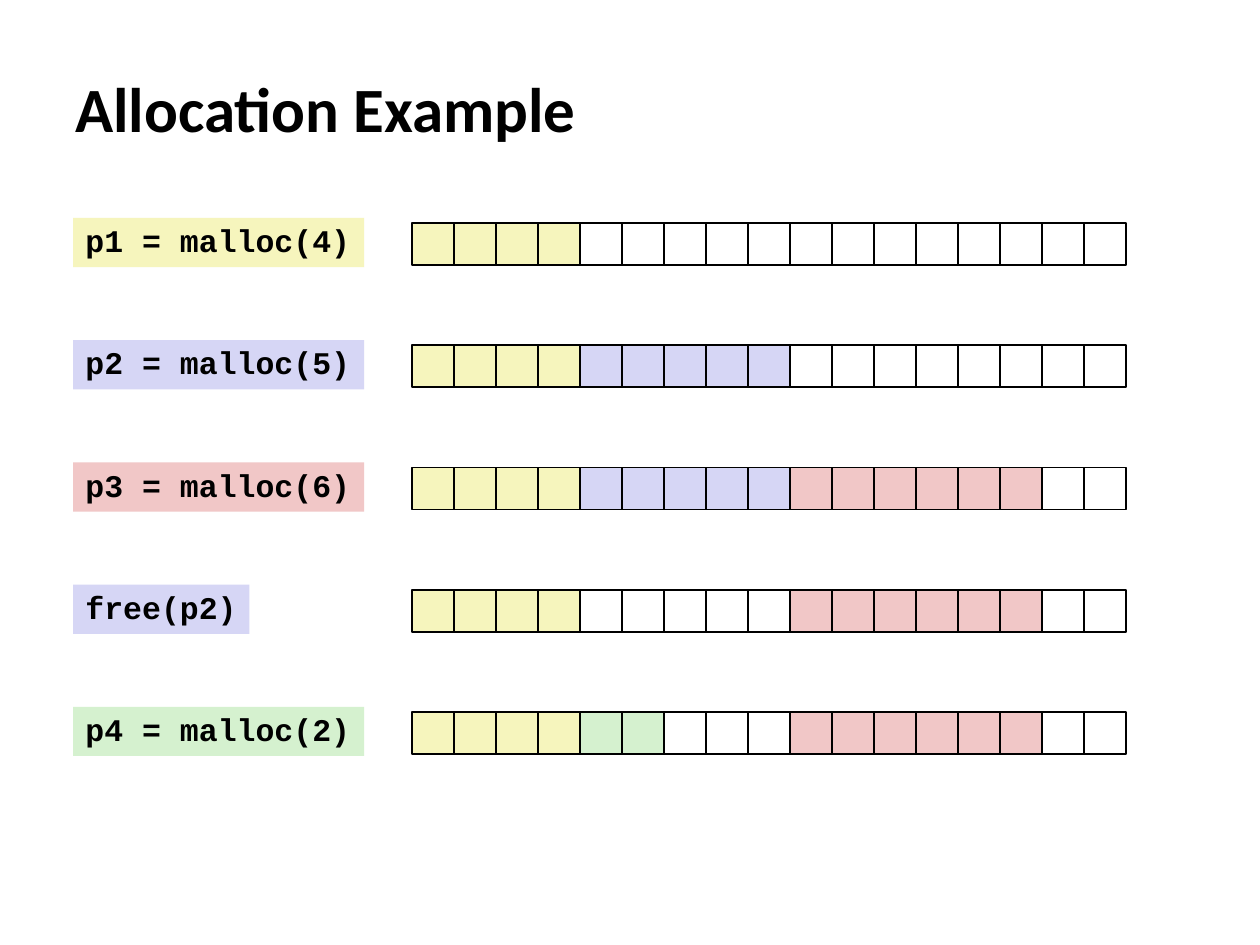
from dataclasses import dataclass

from pptx import Presentation
from pptx.dml.color import RGBColor
from pptx.enum.shapes import MSO_SHAPE
from pptx.enum.text import MSO_ANCHOR, MSO_AUTO_SIZE, PP_ALIGN
from pptx.util import Inches, Pt

RECTANGLE = MSO_SHAPE.RECTANGLE
MIDDLE = MSO_ANCHOR.MIDDLE
TOP = MSO_ANCHOR.TOP
LEFT = PP_ALIGN.LEFT
GROW = MSO_AUTO_SIZE.SHAPE_TO_FIT_TEXT


@dataclass(frozen=True)
class Theme:
    ink: str = "000000"
    free: str = "FFFFFF"
    yellow: str = "F6F5BD"
    blue: str = "D6D6F5"
    red: str = "F1C7C7"
    green: str = "D5F1CF"
    title_font: str = "Calibri"
    code_font: str = "Courier New"
    title_size: int = 36
    code_size: int = 18
    line_width: int = 1


THEME = Theme()
CELL_SIZE = 1 / 3
HEAP_LEFT = 3.27
LABEL_LEFT = 0.58
LABEL_HEIGHT = 0.39
FIRST_ROW_TOP = 1.73
ROW_STEP = 0.97
HEAP_OFFSET = 0.04

P1 = (4, THEME.yellow)
P2 = (5, THEME.blue)
P3 = (6, THEME.red)
P4 = (2, THEME.green)

STEPS = [
    ("p1 = malloc(4)", 2.31, THEME.yellow, [P1, (13, THEME.free)]),
    ("p2 = malloc(5)", 2.31, THEME.blue, [P1, P2, (8, THEME.free)]),
    ("p3 = malloc(6)", 2.31, THEME.red, [P1, P2, P3, (2, THEME.free)]),
    ("free(p2)", 1.4, THEME.blue, [P1, (5, THEME.free), P3, (2, THEME.free)]),
    ("p4 = malloc(2)", 2.31, THEME.green,
     [P1, P4, (3, THEME.free), P3, (2, THEME.free)]),
]


def write_text(box, text, font_name, size):
    box.text_frame.text = text
    paragraph = box.text_frame.paragraphs[0]
    paragraph.alignment = LEFT
    font = paragraph.runs[0].font
    font.name = font_name
    font.size = Pt(size)
    font.bold = True
    font.color.rgb = RGBColor.from_string(THEME.ink)
    return paragraph


def add_rectangle(shapes, left, top, width, height, color):
    box = shapes.add_shape(
        RECTANGLE, Inches(left), Inches(top), Inches(width), Inches(height))
    box.shadow.inherit = False
    box.fill.solid()
    box.fill.fore_color.rgb = RGBColor.from_string(color)
    return box


def add_title(page, text):
    box = page.shapes.add_textbox(
        Inches(0.5), Inches(0.54), Inches(7.07), Inches(0.63))
    box.text_frame.word_wrap = True
    box.text_frame.vertical_anchor = MIDDLE
    write_text(box, text, THEME.title_font, THEME.title_size)


def add_label(page, text, top, width, color):
    box = add_rectangle(
        page.shapes, LABEL_LEFT, top, width, LABEL_HEIGHT, color)
    box.line.fill.background()
    frame = box.text_frame
    frame.word_wrap = False
    frame.auto_size = GROW
    frame.vertical_anchor = TOP
    paragraph = write_text(box, text, THEME.code_font, THEME.code_size)
    paragraph.line_spacing = 0.94


def add_heap(page, top, blocks):
    heap = page.shapes.add_group_shape()
    colors = [color for count, color in blocks for _ in range(count)]
    for index, color in enumerate(colors):
        left = HEAP_LEFT + index * CELL_SIZE
        cell = add_rectangle(
            heap.shapes, left, top, CELL_SIZE, CELL_SIZE, color)
        cell.line.color.rgb = RGBColor.from_string(THEME.ink)
        cell.line.width = Pt(THEME.line_width)


def main():
    deck = Presentation()
    deck.slide_width = Inches(10)
    deck.slide_height = Inches(7.5)
    page = deck.slides.add_slide(deck.slide_layouts[6])
    add_title(page, "Allocation Example")
    for row, (call, width, color, blocks) in enumerate(STEPS):
        top = FIRST_ROW_TOP + row * ROW_STEP
        add_heap(page, top + HEAP_OFFSET, blocks)
        add_label(page, call, top, width, color)
    deck.save("out.pptx")


if __name__ == "__main__":
    main()
